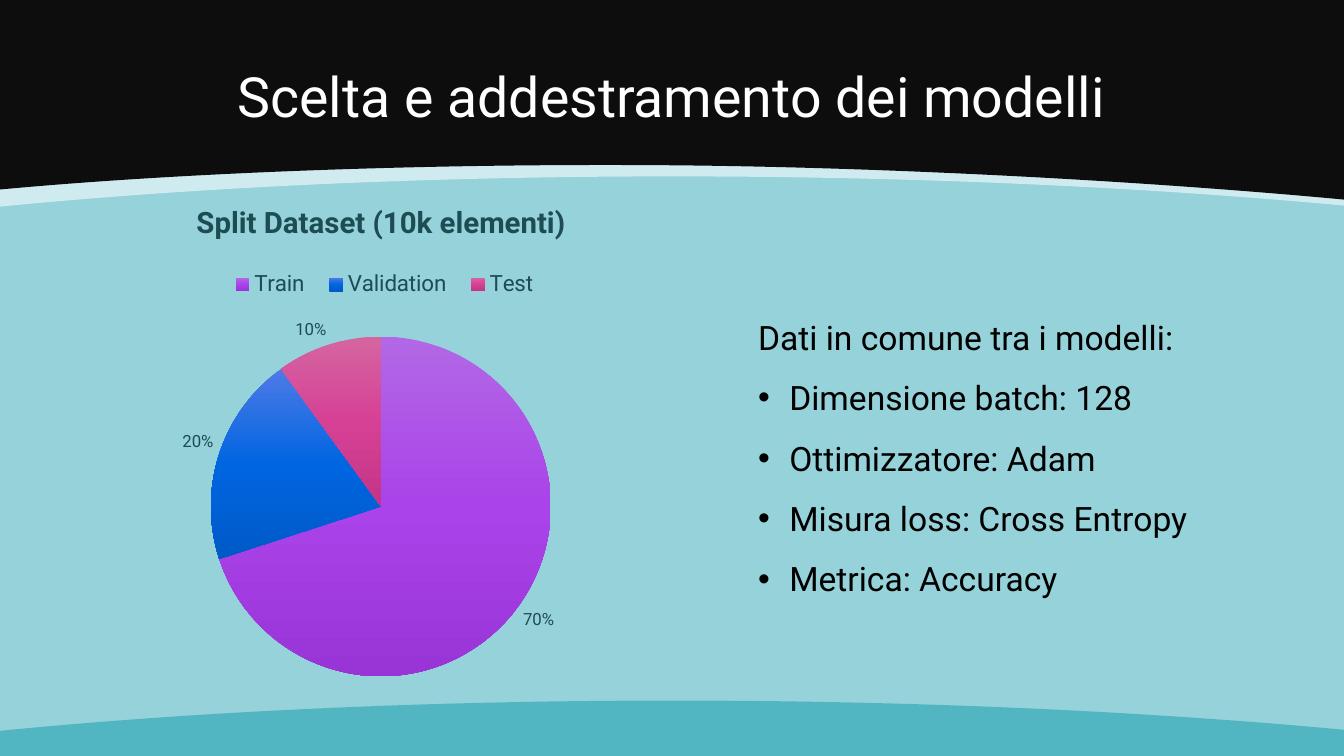
from copy import deepcopy

from lxml.etree import SubElement
from pptx import Presentation
from pptx.chart.data import CategoryChartData
from pptx.dml.color import RGBColor
from pptx.enum.chart import XL_CHART_TYPE, XL_LABEL_POSITION, XL_LEGEND_POSITION
from pptx.enum.text import MSO_ANCHOR, MSO_AUTO_SIZE, PP_ALIGN
from pptx.oxml.ns import qn
from pptx.util import Inches, Pt

FONT = "Roboto"
BLACK = RGBColor(0x00, 0x00, 0x00)
WHITE = RGBColor(0xFF, 0xFF, 0xFF)
NIGHT = RGBColor(0x0D, 0x0D, 0x0D)
AQUA = RGBColor(0x96, 0xD2, 0xDA)
FOAM = RGBColor(0xEA, 0xF6, 0xF8)
TEAL = RGBColor(0x52, 0xB5, 0xC2)
DARK_TEAL = RGBColor(0x1D, 0x4D, 0x53)
PURPLES = [RGBColor(0xB2, 0x68, 0xE6), RGBColor(0xAA, 0x43, 0xE9), RGBColor(0x99, 0x34, 0xD7)]
BLUES = [RGBColor(0x4E, 0x7A, 0xE6), RGBColor(0x00, 0x65, 0xE1), RGBColor(0x00, 0x5A, 0xC8)]
PINKS = [RGBColor(0xD5, 0x65, 0xA1), RGBColor(0xD6, 0x41, 0x96), RGBColor(0xC4, 0x34, 0x86)]


def write(para, text, size, color, bold=False, align=None, spacing=None, bullet=False):
    span = para.add_run()
    span.text = text
    span.font.name = FONT
    span.font.size = Pt(size)
    span.font.bold = bold
    span.font.color.rgb = color
    para.alignment = align
    para.line_spacing = spacing
    if bullet:
        properties = para._p.get_or_add_pPr()
        properties.set("marL", str(Inches(0.31)))
        properties.set("indent", str(-Inches(0.31)))
        SubElement(properties, qn("a:buFont")).set("typeface", "Arial")
        SubElement(properties, qn("a:buChar")).set("char", "•")


def place(element, index, **fractions):
    """Set a manual layout, in fractions of the chart, as the child at index."""
    old = element.find(qn("c:layout"))
    if old is not None:
        element.remove(old)
    layout = element.makeelement(qn("c:layout"), {})
    element.insert(index, layout)
    manual = SubElement(layout, qn("c:manualLayout"))
    if index == 0:
        SubElement(manual, qn("c:layoutTarget")).set("val", "inner")
    for edge in ("xMode", "yMode"):
        SubElement(manual, qn(f"c:{edge}")).set("val", "edge")
    for name, value in fractions.items():
        SubElement(manual, qn(f"c:{name}")).set("val", str(value))


deck = Presentation()
deck.slide_width = Inches(13.33)
deck.slide_height = Inches(7.5)
page = deck.slides.add_slide(deck.slide_layouts[5])
page.background.fill.solid()
page.background.fill.fore_color.rgb = AQUA

# Curved bands: straight edge, then two Bezier curves from right to left
bands = [
    (0, FOAM, 70, [(13.33, 2.04), (11.4, 1.86), (9.12, 1.75), (6.68, 1.75),
                   (4.23, 1.75), (1.94, 1.86), (0, 2.05)]),
    (0, NIGHT, 100, [(13.33, 1.98), (11.4, 1.8), (8.89, 1.66), (6.68, 1.64),
                     (4.45, 1.62), (1.94, 1.7), (0, 1.88)]),
    (7.5, TEAL, 100, [(13.33, 7.24), (11.4, 7.06), (9.12, 6.95), (6.68, 6.95),
                      (4.23, 6.95), (1.94, 7.06), (0, 7.25)]),
]
for edge, color, opacity, knots in bands:
    builder = page.shapes.build_freeform(0, Inches(edge))
    builder.add_line_segments([(Inches(x), Inches(y)) for x, y in [(13.33, edge), *knots]])
    band = builder.convert_to_shape()
    band.shadow.inherit = False
    band.line.fill.background()
    band.fill.solid()
    band.fill.fore_color.rgb = color
    if opacity < 100:
        tint = band._element.spPr.find(qn("a:solidFill"))[0]
        SubElement(tint, qn("a:alpha")).set("val", str(opacity * 1000))
    # Each three knots after the first become one cubic curve
    segments = list(band._element.iter(qn("a:lnTo")))[2:]
    outline = segments[0].getparent()
    for start in (0, 3):
        curve = SubElement(outline, qn("a:cubicBezTo"))
        for segment in segments[start:start + 3]:
            curve.append(segment[0])
            outline.remove(segment)
    SubElement(outline, qn("a:close"))
    for extra in outline.findall(qn("a:close"))[:-1]:
        outline.remove(extra)

title = page.shapes.title
page.shapes._spTree.append(title._element)  # in front of the bands
title.left, title.top = Inches(1.66), Inches(0.3)
title.width, title.height = Inches(10), Inches(1.03)
title.text_frame.auto_size = MSO_AUTO_SIZE.NONE
title.text_frame.vertical_anchor = MSO_ANCHOR.BOTTOM
write(title.text_frame.paragraphs[0], "Scelta e addestramento dei modelli", 39.6, WHITE,
      align=PP_ALIGN.CENTER, spacing=0.9)

split = CategoryChartData()
split.categories = ["Train", "Validation", "Test"]
split.add_series("Series 1", [70, 20, 10])
chart = page.shapes.add_chart(XL_CHART_TYPE.PIE, Inches(1.33), Inches(1.83),
                              Inches(4.92), Inches(5.17), split).chart
chart.font.name = FONT
chart.font.size = Pt(10)
chart.font.color.rgb = BLACK

write(chart.chart_title.text_frame.paragraphs[0], "Split Dataset (10k elementi)", 21,
      DARK_TEAL, bold=True)
chart.chart_title.include_layout = False
chart.has_legend = True
legend = chart.legend
legend.position = XL_LEGEND_POSITION.TOP
legend.include_in_layout = False
legend.font.name = FONT
legend.font.size = Pt(16)
legend.font.color.rgb = DARK_TEAL

pie = chart.plots[0]
pie.vary_by_categories = True
pie.has_data_labels = True
labels = pie.data_labels
labels.show_percentage = True
labels.show_value = False
labels.number_format = "0%"
labels.number_format_is_linked = False
labels.position = XL_LABEL_POSITION.OUTSIDE_END
labels.font.name = FONT
labels.font.size = Pt(12)
labels.font.color.rgb = DARK_TEAL
for index, shades in enumerate([PURPLES, BLUES, PINKS]):
    fill = pie.series[0].points[index].format.fill
    fill.gradient()
    fill.gradient_angle = 270
    first_stop = fill.gradient_stops[0]._gs
    first_stop.addnext(deepcopy(first_stop))
    for stop, position, shade in zip(fill.gradient_stops, (0, 0.5, 1), shades):
        stop.position = position
        stop.color.rgb = shade

place(chart.chart_title._element, 1, x=0.115, y=0.025)
place(legend._element, 1, x=0.17, y=0.152, w=0.67, h=0.08)
place(chart._chartSpace.chart.plotArea, 0, x=0.155, y=0.292, w=0.685, h=0.652)

box = page.shapes.add_textbox(Inches(7.42), Inches(2.89), Inches(4.54), Inches(3.05))
frame = box.text_frame
frame.word_wrap = False
frame.auto_size = MSO_AUTO_SIZE.SHAPE_TO_FIT_TEXT
write(frame.paragraphs[0], "Dati in comune tra i modelli:", 24, BLACK, spacing=1.5)
for item in ["Dimensione batch: 128", "Ottimizzatore: Adam",
             "Misura loss: Cross Entropy", "Metrica: Accuracy"]:
    write(frame.add_paragraph(), item, 24, BLACK, spacing=1.5, bullet=True)

deck.save("out.pptx")
